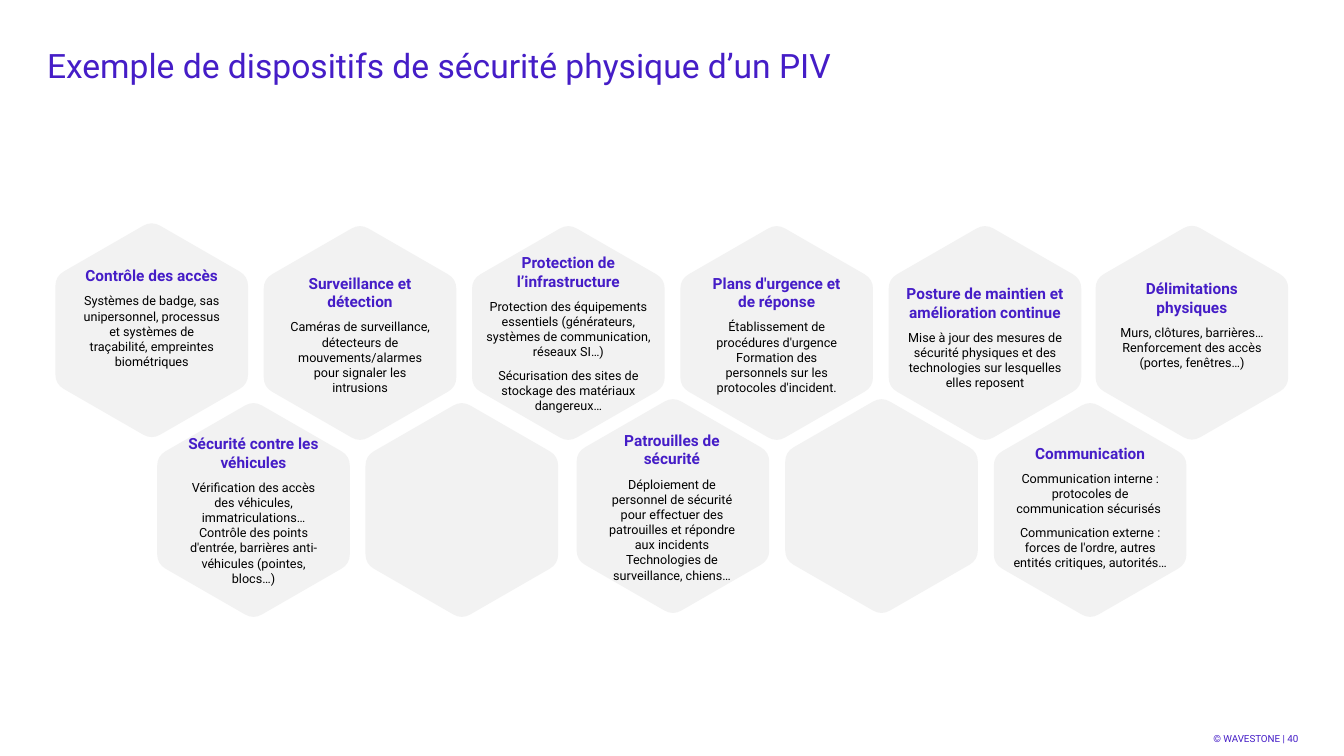
from dataclasses import dataclass
from math import hypot

from lxml import etree
from pptx import Presentation
from pptx.dml.color import RGBColor
from pptx.enum.text import MSO_ANCHOR, MSO_AUTO_SIZE, PP_ALIGN
from pptx.oxml.ns import qn
from pptx.util import Pt

TOP, MIDDLE = MSO_ANCHOR.TOP, MSO_ANCHOR.MIDDLE
LEFT, CENTER, RIGHT = PP_ALIGN.LEFT, PP_ALIGN.CENTER, PP_ALIGN.RIGHT
GROW, FIXED = MSO_AUTO_SIZE.SHAPE_TO_FIT_TEXT, MSO_AUTO_SIZE.NONE
TITLE_ONLY = 5


@dataclass(frozen=True)
class Theme:
    font: str = "Roboto"
    violet: RGBColor = RGBColor(0x45, 0x1D, 0xC7)
    black: RGBColor = RGBColor(0, 0, 0)
    grey: RGBColor = RGBColor(0xF2, 0xF2, 0xF2)
    title: float = 24
    heading: float = 11
    body: float = 9
    footer: float = 7


@dataclass(frozen=True)
class Cell:
    row: int
    column: int
    heading: str = ""
    body: tuple = ()
    width: float = 103
    height: float = 87
    text_shift: tuple = (0, 0)
    nudge: tuple = (0, 0)


THEME = Theme()
HEX_WIDTH, HEX_HEIGHT = 137.6, 152.6
SHOULDER, PEAK = 37.8, 1.8
CORNER_CUT = 7
COLUMN_STEP = 148.8
ROW_ORIGINS = ((39.6, 161.6), (112.3, 288))

CELLS = (
    Cell(0, 0, "Contrôle des accès",
         ("Systèmes de badge, sas unipersonnel, processus et systèmes de "
          "traçabilité, empreintes biométriques",),
         height=63, text_shift=(0, -9), nudge=(0, -2)),
    Cell(0, 1, "Surveillance et détection",
         ("Caméras de surveillance, détecteurs de mouvements/alarmes pour "
          "signaler les intrusions",), text_shift=(0, 1)),
    Cell(0, 2, "Protection de l’infrastructure",
         ("Protection des équipements essentiels (générateurs, systèmes de "
          "communication, réseaux SI…)",
          "Sécurisation des sites de stockage des matériaux dangereux…"),
         width=117.4, height=115),
    Cell(0, 3, "Plans d'urgence et de réponse",
         ("Établissement de procédures d'urgence Formation des personnels "
          "sur les protocoles d'incident.",), text_shift=(0, 1)),
    Cell(0, 4, "Posture de maintien et amélioration continue",
         ("Mise à jour des mesures de sécurité physiques et des technologies "
          "sur lesquelles elles reposent",),
         width=120, height=76, text_shift=(0, 3)),
    Cell(0, 5, "Délimitations physiques",
         ("Murs, clôtures, barrières… Renforcement des accès "
          "(portes, fenêtres…)",),
         height=65, text_shift=(0, -5.6), nudge=(-1, -0.2)),
    Cell(1, 0, "Sécurité contre les véhicules",
         ("Vérification des accès des véhicules, immatriculations… "
          "Contrôle des points d'entrée, barrières anti-véhicules "
          "(pointes, blocs…)",), height=109),
    Cell(1, 1),
    Cell(1, 2, "Patrouilles de sécurité",
         ("Déploiement de personnel de sécurité pour effectuer des "
          "patrouilles et répondre aux incidents Technologies de "
          "surveillance, chiens…",),
         height=109, text_shift=(-0.7, 0.5), nudge=(2, -2.8)),
    Cell(1, 3, nudge=(2.2, -2.8)),
    Cell(1, 4, "Communication",
         ("Communication interne : protocoles de communication sécurisés ",
          "Communication externe : forces de l'ordre, autres entités "
          "critiques, autorités…"),
         width=119, height=91, text_shift=(0, -2), nudge=(2.4, 0)),
)


def apply(target, values):
    for name, value in values.items():
        setattr(target, name, value)


def format_frame(frame, anchor, auto_size=FIXED, vertical_margin=0):
    apply(frame, {
        "word_wrap": True, "auto_size": auto_size, "vertical_anchor": anchor,
        "margin_left": 0, "margin_right": 0,
        "margin_top": Pt(vertical_margin), "margin_bottom": Pt(vertical_margin),
    })


def write_paragraph(paragraph, text, size, color, align, bold=False, after=0):
    apply(paragraph, {"alignment": align, "space_before": Pt(0),
                      "space_after": Pt(after), "line_spacing": 1.0})
    run = paragraph.add_run()
    run.text = text
    apply(run.font, {"name": THEME.font, "size": Pt(size), "bold": bold})
    run.font.color.rgb = color


def add_title(slide, text):
    title = slide.shapes.title
    apply(title, {"left": Pt(33.6), "top": Pt(32),
                  "width": Pt(892.8), "height": Pt(73.4)})
    format_frame(title.text_frame, TOP)
    write_paragraph(title.text_frame.paragraphs[0], text,
                    THEME.title, THEME.violet, LEFT)


def add_footer(slide, text):
    box = slide.shapes.add_textbox(Pt(833.8), Pt(518), Pt(93.6), Pt(18.7))
    format_frame(box.text_frame, MIDDLE, vertical_margin=3.6)
    write_paragraph(box.text_frame.paragraphs[0], text,
                    THEME.footer, THEME.violet, RIGHT)


def between(start, end, ratio):
    return tuple(a + (b - a) * ratio for a, b in zip(start, end))


def cut_point(corner, neighbour):
    length = hypot(neighbour[0] - corner[0], neighbour[1] - corner[1])
    return between(corner, neighbour, CORNER_CUT / length)


def rounded_hexagon(left, top):
    right, bottom, center = left + HEX_WIDTH, top + HEX_HEIGHT, left + HEX_WIDTH / 2
    corners = [(center, top - PEAK), (right, top + SHOULDER),
               (right, bottom - SHOULDER), (center, bottom + PEAK),
               (left, bottom - SHOULDER), (left, top + SHOULDER)]
    points = []
    for index, corner in enumerate(corners):
        start = cut_point(corner, corners[index - 1])
        end = cut_point(corner, corners[(index + 1) % len(corners)])
        points += [start, between(start, corner, 2 / 3),
                   between(end, corner, 2 / 3), end]
    return [(Pt(x), Pt(y)) for x, y in points]


def curve_corners(shape):
    lines = list(shape._element.iter(qn("a:lnTo")))
    for first in range(0, len(lines), 4):
        corner = lines[first:first + 3]
        curve = etree.Element(qn("a:cubicBezTo"))
        corner[0].addprevious(curve)
        for line in corner:
            curve.append(line[0])
            line.getparent().remove(line)


def add_hexagon(slide, left, top):
    first, *others = rounded_hexagon(left, top)
    builder = slide.shapes.build_freeform(*first)
    builder.add_line_segments(others, close=True)
    shape = builder.convert_to_shape()
    curve_corners(shape)
    shape.shadow.inherit = False
    shape.fill.solid()
    shape.fill.fore_color.rgb = THEME.grey
    shape.line.fill.background()


def add_cell_text(slide, cell, left, top):
    shift_x, shift_y = cell.text_shift
    box = slide.shapes.add_textbox(
        Pt(left + (HEX_WIDTH - cell.width) / 2 + shift_x),
        Pt(top + (HEX_HEIGHT - cell.height) / 2 + shift_y),
        Pt(cell.width), Pt(cell.height))
    frame = box.text_frame
    format_frame(frame, MIDDLE, GROW)
    write_paragraph(frame.paragraphs[0], cell.heading, THEME.heading,
                    THEME.violet, CENTER, bold=True, after=6)
    for text in cell.body:
        write_paragraph(frame.add_paragraph(), text, THEME.body,
                        THEME.black, CENTER, after=6)


def add_cell(slide, cell):
    origin_left, origin_top = ROW_ORIGINS[cell.row]
    left = origin_left + cell.column * COLUMN_STEP + cell.nudge[0]
    top = origin_top + cell.nudge[1]
    add_hexagon(slide, left, top)
    if cell.heading:
        add_cell_text(slide, cell, left, top)


def main():
    presentation = Presentation()
    apply(presentation, {"slide_width": Pt(960), "slide_height": Pt(540)})
    slide = presentation.slides.add_slide(presentation.slide_layouts[TITLE_ONLY])
    add_title(slide, "Exemple de dispositifs de sécurité physique d’un PIV")
    for cell in CELLS:
        add_cell(slide, cell)
    add_footer(slide, "© WAVESTONE | 40")
    presentation.save("out.pptx")


if __name__ == "__main__":
    main()
